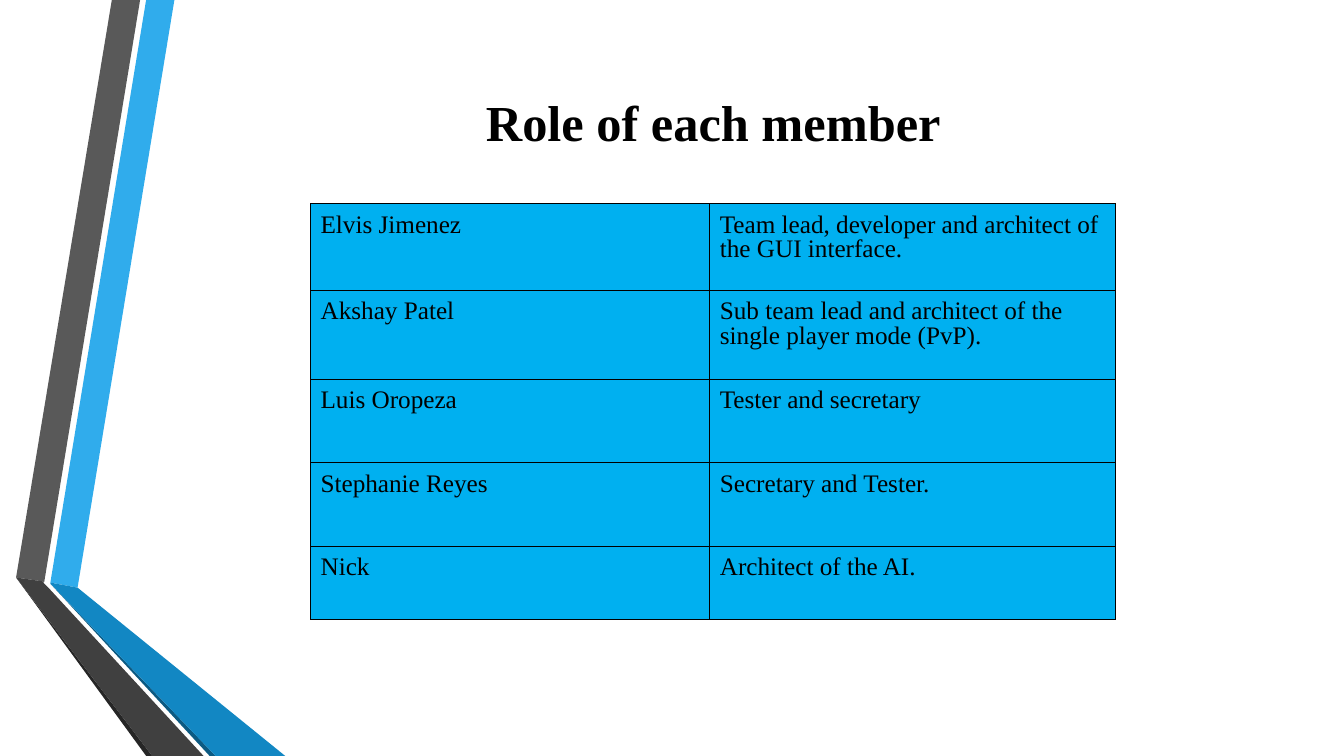
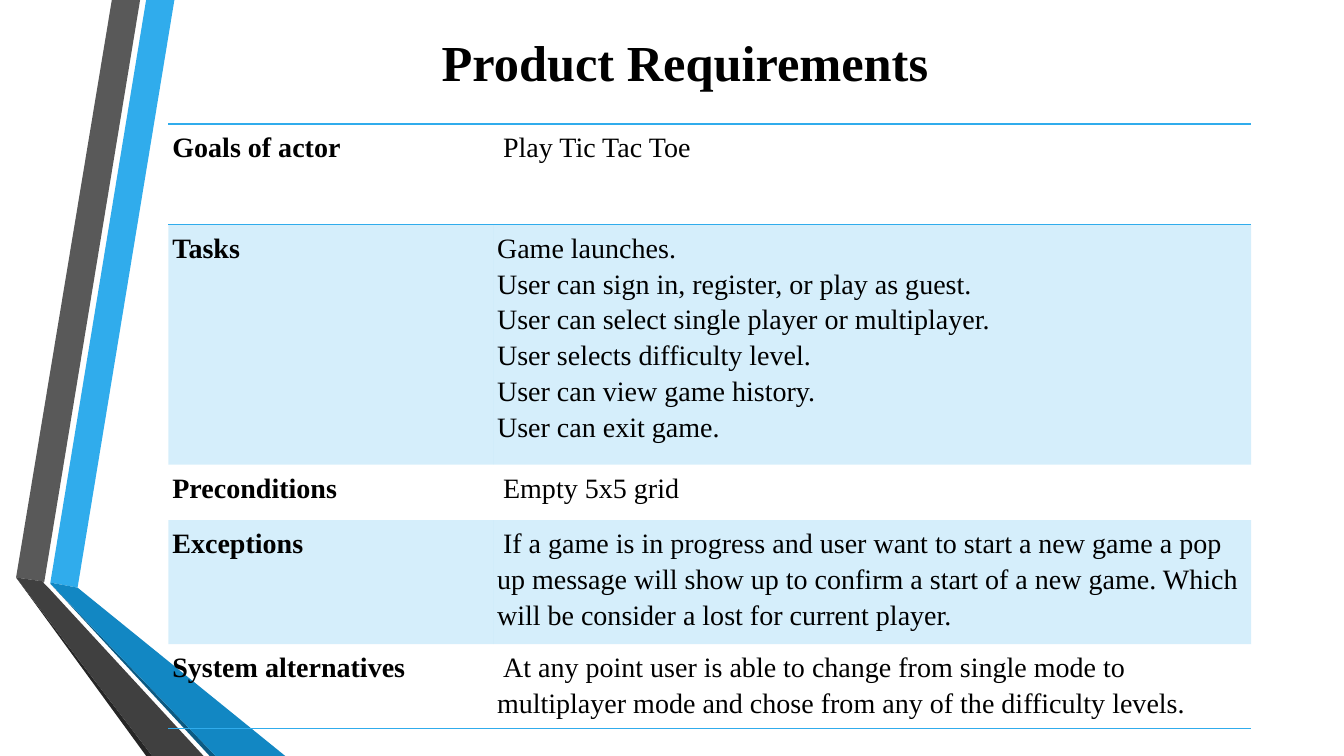
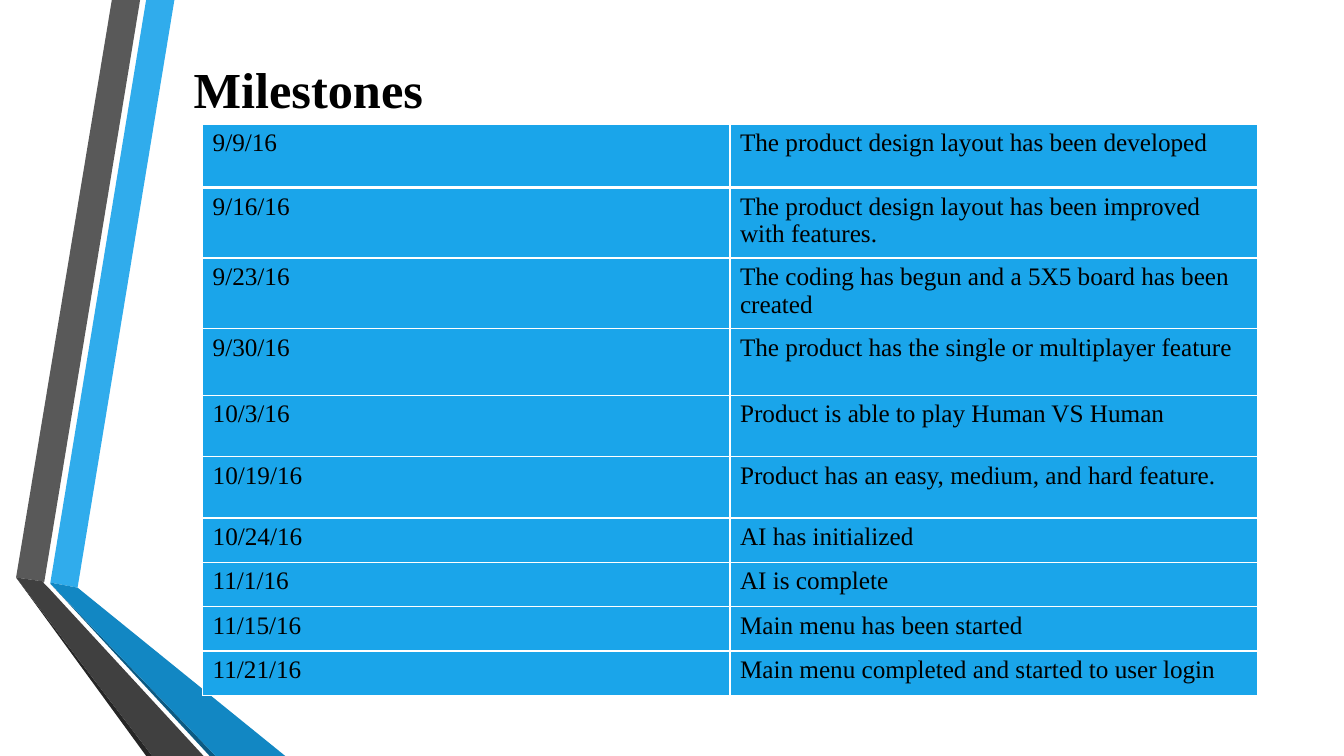
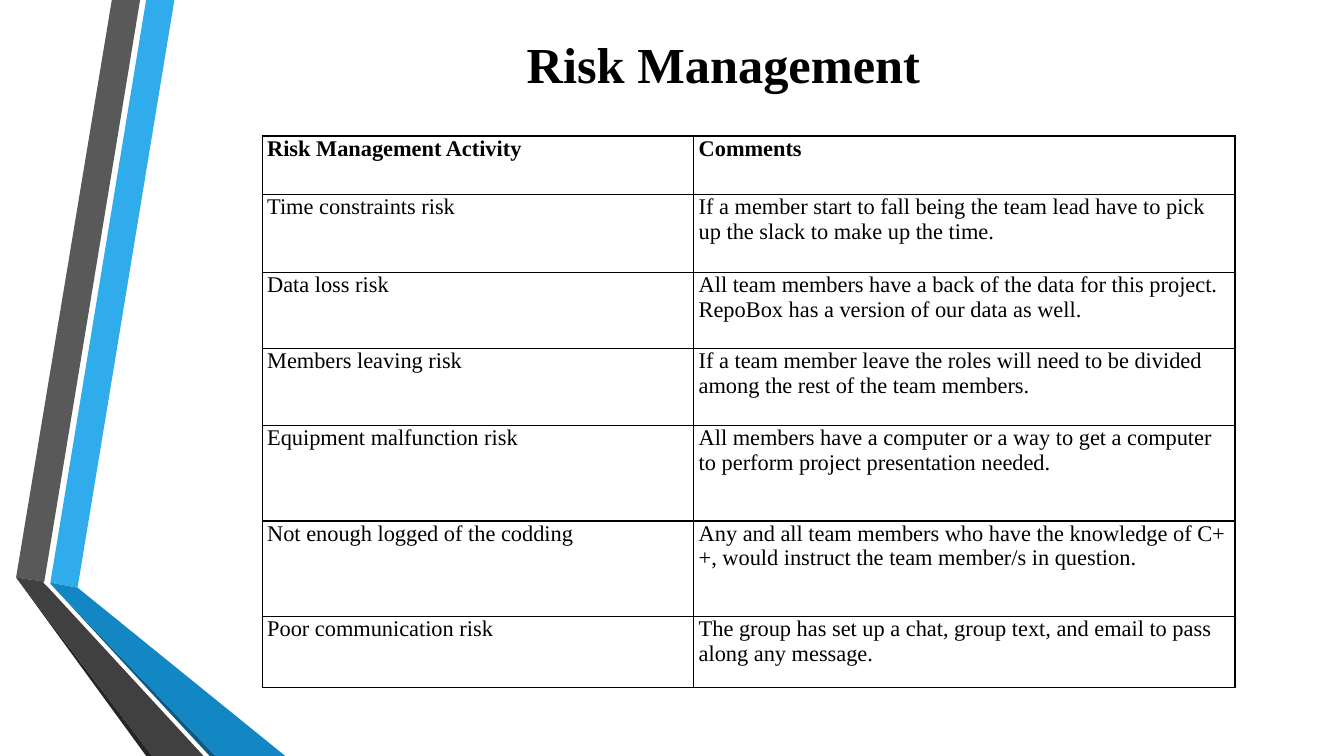
from lxml import etree
from pptx import Presentation
from pptx.dml.color import RGBColor
from pptx.enum import text
from pptx.oxml import ns
from pptx.util import Inches, Pt

FONT = "Times New Roman"
BLACK, WHITE, BLUE = "000000", "FFFFFF", "30ACEC"

# Outline points are in hundredths of an inch.
BANDS = [
    (BLUE, [(50, 578), (77, 583), (173, 0), (145, 0)]),
    ("595959", [(139, 0), (111, 0), (16, 573), (44, 577)]),
    ("262626", [(16, 573), (145, 750), (151, 750)]),
    ("0C5A82", [(50, 579), (208, 750), (214, 750)]),
    ("1287C3", [(50, 579), (214, 750), (283, 750), (77, 583), (50, 578)]),
    ("404040", [(202, 750), (48, 583), (43, 578), (44, 577), (16, 573), (151, 750)]),
]

PAGES = [
    {
        "title": "Role of each member",
        "title_box": (3.49, 0.82, 7.17, 0.76),
        "align": text.PP_ALIGN.CENTER,
        "origin": (3.08, 2.02),
        "columns": [3.96, 4.02],
        "heights": [0.86, 0.88, 0.83, 0.83, 0.73],
        "margins": (0.1, 0.1),
        "size": 18,
        "spacing": 0.87,
        "fills": ["00B0F0"] * 5,
        "line": BLACK,
        "horizontal": [0.75] * 6,
        "vertical": 0.75,
        "rows": [
            ("Elvis Jimenez", "Team lead, developer and architect of the GUI interface."),
            ("Akshay Patel", "Sub team lead and architect of the single player mode (PvP)."),
            ("Luis Oropeza", "Tester and secretary"),
            ("Stephanie Reyes", "Secretary and Tester."),
            ("Nick", "Architect of the AI."),
        ],
    },
    {
        "title": "Product Requirements",
        "title_box": (4.28, 0.25, 5.97, 0.71),
        "align": text.PP_ALIGN.LEFT,
        "origin": (1.67, 1.23),
        "columns": [3.22, 7.52],
        "heights": [1, 2.38, 0.55, 1.23, 0.84],
        "margins": (0.04, 0.04),
        "size": 20,
        "spacing": 1.15,
        "fills": [None, BLUE, None, BLUE, None],
        "opacity": 20,
        "line": BLUE,
        "horizontal": [1, 1, 0, 0, 0, 1],
        "vertical": 0,
        "bold": "column",
        "indent": 0.06,
        "rows": [
            ("Goals of actor", "Play Tic Tac Toe"),
            ("Tasks", "Game launches.\n"
                      "User can sign in, register, or play as guest.\n"
                      "User can select single player or multiplayer.\n"
                      "User selects difficulty level.\n"
                      "User can view game history.\n"
                      "User can exit game."),
            ("Preconditions", "Empty 5x5 grid"),
            ("Exceptions", "If a game is in progress and user want to start a new game a pop up "
                           "message will show up to confirm a start of a new game. Which will be "
                           "consider a lost for current player."),
            ("System alternatives", "At any point user is able to change from single mode to "
                                    "multiplayer mode and chose from any of the difficulty levels."),
        ],
    },
    {
        "title": "Milestones",
        "title_box": (1.82, 0.52, 9.97, 0.71),
        "align": text.PP_ALIGN.LEFT,
        "origin": (2.01, 1.23),
        "columns": [5.23, 5.23],
        "heights": [0.63, 0.7, 0.7, 0.66, 0.61, 0.61] + [0.44] * 4,
        "margins": (0.1, 0.05),
        "size": 18,
        "fills": ["1AA5EA"] * 10,
        "line": WHITE,
        "horizontal": [1, 3] + [1] * 9,
        "vertical": 1,
        "rows": [
            ("9/9/16", "The product design layout has been developed"),
            ("9/16/16", "The product design layout has been improved with features."),
            ("9/23/16", "The coding has begun and a 5X5 board has been created"),
            ("9/30/16", "The product has the single or multiplayer feature"),
            ("10/3/16", "Product is able to play Human VS Human"),
            ("10/19/16", "Product has an easy, medium, and hard feature."),
            ("10/24/16", "AI has initialized"),
            ("11/1/16", "AI is complete"),
            ("11/15/16", "Main menu has been started"),
            ("11/21/16", "Main menu completed and started to user login"),
        ],
    },
    {
        "title": "Risk Management",
        "title_box": (3.59, 0.25, 7.17, 0.76),
        "align": text.PP_ALIGN.CENTER,
        "origin": (2.6, 1.35),
        "columns": [4.28, 5.37],
        "heights": [0.58, 0.77, 0.76, 0.76, 0.95, 0.95, 0.7],
        "margins": (0.05, 0),
        "size": 16,
        "fills": [None] * 7,
        "line": BLACK,
        "horizontal": [1] * 8,
        "vertical": 1,
        "bold": "row",
        "rows": [
            ("Risk Management Activity", "Comments"),
            ("Time constraints risk", "If a member start to fall being the team lead have to pick up "
                                      "the slack to make up the time."),
            ("Data loss risk", "All team members have a back of the data for this project. "
                               "RepoBox has a version of our data as well."),
            ("Members leaving risk", "If a team member leave the roles will need to be divided among "
                                     "the rest of the team members."),
            ("Equipment malfunction risk", "All members have a computer or a way to get a computer to "
                                           "perform project presentation needed."),
            ("Not enough logged of the codding", "Any and all team members who have the knowledge of "
                                                 "C++, would instruct the team member/s in question."),
            ("Poor communication risk", "The group has set up a chat, group text, and email to pass "
                                        "along any message."),
        ],
    },
]


def color(value):
    return RGBColor.from_string(value)


def add_border(cell, side, width, value):
    properties = cell._tc.get_or_add_tcPr()
    line = etree.SubElement(properties, ns.qn("a:" + side), w=str(Pt(width)))
    if width:
        fill = etree.SubElement(line, ns.qn("a:solidFill"))
        etree.SubElement(fill, ns.qn("a:srgbClr"), val=value)
    else:
        etree.SubElement(line, ns.qn("a:noFill"))


presentation = Presentation()
presentation.slide_width = Inches(13.33)
presentation.slide_height = Inches(7.5)
layout = presentation.slide_layouts[5]
slides = [presentation.slides.add_slide(layout) for page in PAGES]

for index, (fill, points) in enumerate(BANDS):
    builder = slides[0].shapes.build_freeform(*points[0], scale=Inches(0.01))
    builder.add_line_segments(points[1:], close=True)
    band = builder.convert_to_shape()
    band.shadow.inherit = False
    band.fill.solid()
    band.fill.fore_color.rgb = color(fill)
    band.line.fill.background()
    layout.shapes.element.insert(2 + index, band.element)

for slide, page in zip(slides, PAGES):
    title = slide.shapes.title
    title.left, title.top, title.width, title.height = map(Inches, page["title_box"])
    frame = title.text_frame
    frame.text = page["title"]
    frame.word_wrap = True
    frame.auto_size = text.MSO_AUTO_SIZE.NONE
    frame.vertical_anchor = text.MSO_ANCHOR.MIDDLE
    paragraph = frame.paragraphs[0]
    paragraph.alignment = page["align"]
    paragraph.font.name = FONT
    paragraph.font.size = Pt(36)
    paragraph.font.bold = True
    paragraph.font.color.rgb = color(BLACK)

    left, top = page["origin"]
    table = slide.shapes.add_table(
        len(page["rows"]), len(page["columns"]), Inches(left), Inches(top),
        Inches(sum(page["columns"])), Inches(sum(page["heights"]))).table
    table.first_row = False
    table.horz_banding = False
    for column, width in zip(table.columns, page["columns"]):
        column.width = Inches(width)

    for row_index, row in enumerate(page["rows"]):
        table.rows[row_index].height = Inches(page["heights"][row_index])
        fill = page["fills"][row_index]
        bold_row = page.get("bold") == "row" and row_index == 0
        for column_index, words in enumerate(row):
            cell = table.cell(row_index, column_index)
            cell.text = words
            cell.margin_left = cell.margin_right = Inches(page["margins"][0])
            cell.margin_top = cell.margin_bottom = Inches(page["margins"][1])

            add_border(cell, "lnL", page["vertical"], page["line"])
            add_border(cell, "lnR", page["vertical"], page["line"])
            add_border(cell, "lnT", page["horizontal"][row_index], page["line"])
            add_border(cell, "lnB", page["horizontal"][row_index + 1], page["line"])
            if fill:
                cell.fill.solid()
                cell.fill.fore_color.rgb = color(fill)
                if "opacity" in page:
                    tint = cell._tc.tcPr.find(ns.qn("a:solidFill"))[0]
                    etree.SubElement(tint, ns.qn("a:alpha"), val=str(page["opacity"] * 1000))
            else:
                cell.fill.background()

            paragraphs = cell.text_frame.paragraphs
            bold_column = page.get("bold") == "column" and column_index == 0
            for paragraph in paragraphs:
                paragraph.line_spacing = page.get("spacing", 1.0)
                paragraph.font.name = FONT
                paragraph.font.size = Pt(page["size"])
                paragraph.font.bold = bold_row or bold_column
                paragraph.font.color.rgb = color(BLACK)
            if "indent" in page and column_index == 1 and len(paragraphs) == 1:
                paragraphs[0]._p.get_or_add_pPr().set("indent", str(Inches(page["indent"])))

presentation.save("out.pptx")
